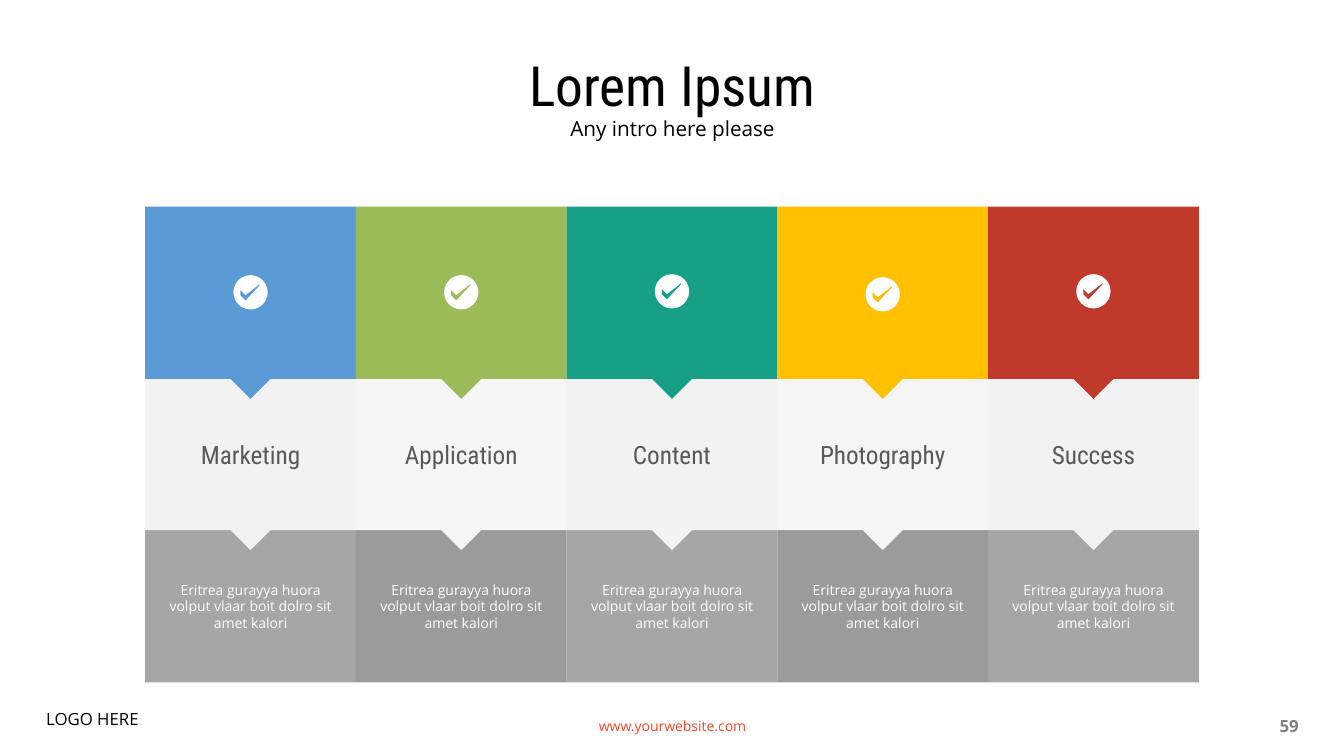
from lxml import etree
from pptx import Presentation
from pptx.dml.color import RGBColor
from pptx.enum import shapes, text
from pptx.oxml.ns import qn
from pptx.util import Inches, Pt

COLORS = {
    "black": "000000", "white": "FFFFFF", "label": "595959",
    "light": "F2F2F2", "light_tip": "F6F6F6",
    "grey": "A6A6A6", "dark_grey": "9B9B9B",
    "link": "FF4429", "number": "808080",
    "blue": "5B9BD5", "green": "9BBB59", "teal": "16A085",
    "yellow": "FFC000", "red": "C0392B",
}
HEADING, BODY = "Roboto Condensed", "Open Sans"
LEFT, COLUMN = 1.44, 2.09
TOP, MIDDLE, BOTTOM = (2.05, 1.71), (3.75, 1.51), (5.26, 1.51)  # top, height
TIP = 0.28
BADGE = 0.34
DESCRIPTION = "Eritrea gurayya huora volput vlaar boit dolro sit amet kalori"
# Label, colour, vertical centre of the badge
STEPS = [
    ("Marketing", "blue", 2.9),
    ("Application", "green", 2.9),
    ("Content", "teal", 2.89),
    ("Photography", "yellow", 2.92),
    ("Success", "red", 2.89),
]
# Check mark in hundredths of an inch, from the badge centre
CHECK = [(-10, 3), (-5, 8), (9, -7), (9, -8), (-5, 3), (-10, -2)]


def paint(shape, color, alpha=None):
    shape.shadow.inherit = False
    shape.fill.solid()
    shape.fill.fore_color.rgb = RGBColor.from_string(COLORS[color])
    shape.line.fill.background()
    if alpha is not None:
        rgb = shape.fill._xPr.find(".//" + qn("a:srgbClr"))
        etree.SubElement(rgb, qn("a:alpha"), val=str(alpha * 1000))


def write(shape, words, size, font, color, align="CENTER", anchor="MIDDLE",
          spacing=None, bold=False, side=0.1):
    frame = shape.text_frame
    frame.word_wrap = True
    frame.vertical_anchor = text.MSO_ANCHOR[anchor]
    frame.margin_left = frame.margin_right = Inches(side)
    paragraph = frame.paragraphs[0]
    paragraph.text = words
    paragraph.alignment = text.PP_ALIGN[align]
    paragraph.line_spacing = spacing
    paragraph.font.size = Pt(size)
    paragraph.font.name = font
    paragraph.font.bold = bold
    paragraph.font.color.rgb = RGBColor.from_string(COLORS[color])


def add_text(slide, box, *content, **options):
    shape = slide.shapes.add_textbox(*map(Inches, box))
    write(shape, *content, **options)


def add_preset(slide, kind, box, color, alpha=None):
    shape = slide.shapes.add_shape(kind, *map(Inches, box))
    paint(shape, color, alpha)
    return shape


def add_cell(slide, column, row, color, alpha=None):
    top, height = row
    box = (LEFT + column * COLUMN, top, COLUMN, height)
    return add_preset(slide, shapes.MSO_SHAPE.RECTANGLE, box, color, alpha)


def add_tip(slide, column, row, color):
    """Square turned on its corner, centred on the lower edge of a cell."""
    center = LEFT + (column + 0.5) * COLUMN
    box = (center - TIP / 2, sum(row) - TIP / 2, TIP, TIP)
    add_preset(slide, shapes.MSO_SHAPE.RECTANGLE, box, color).rotation = 45


def add_badge(slide, column, middle, color):
    center = LEFT + (column + 0.5) * COLUMN
    box = (center - BADGE / 2, middle - BADGE / 2, BADGE, BADGE)
    add_preset(slide, shapes.MSO_SHAPE.OVAL, box, "white")
    builder = slide.shapes.build_freeform(*CHECK[0], scale=Inches(0.01))
    builder.add_line_segments(CHECK[1:], close=True)
    paint(builder.convert_to_shape(Inches(center), Inches(middle)), color)


def main():
    presentation = Presentation()
    presentation.slide_width = Inches(13.33)
    presentation.slide_height = Inches(7.5)
    slide = presentation.slides.add_slide(presentation.slide_layouts[6])

    # Heading
    add_text(slide, (0.92, 0.62, 11.5, 0.52), "Lorem Ipsum", 39.6, HEADING,
             "black", spacing=0.9)
    add_text(slide, (0.92, 1.15, 11.5, 0.32), "Any intro here please", 14.8,
             BODY, "black", anchor="TOP", spacing=0.8)

    # Descriptions, below the tips of the labels
    for column in range(len(STEPS)):
        color = "dark_grey" if column % 2 else "grey"
        cell = add_cell(slide, column, BOTTOM, color)
        write(cell, DESCRIPTION, 10, BODY, "white", side=0.2)

    # Labels, every second one paler
    for column, (label, _, _) in enumerate(STEPS):
        pale = column % 2
        cell = add_cell(slide, column, MIDDLE, "light", 70 if pale else None)
        write(cell, label, 18, HEADING, "label")
        add_tip(slide, column, MIDDLE, "light_tip" if pale else "light")

    # Coloured cells with check badges
    for column, (_, color, middle) in enumerate(STEPS):
        add_cell(slide, column, TOP, color)
        add_tip(slide, column, TOP, color)
        add_badge(slide, column, middle, color)

    # Footer
    add_text(slide, (4.42, 7, 4.5, 0.4), "www.yourwebsite.com", 10, BODY, "link")
    add_text(slide, (9.83, 7, 3.15, 0.4), "59", 12, BODY, "number",
             align="RIGHT", bold=True)
    add_text(slide, (0.36, 7, 4.17, 0.43), "LOGO HERE", 12, BODY, "black",
             align="LEFT", anchor="TOP", spacing=0.9)

    presentation.save("out.pptx")


if __name__ == "__main__":
    main()
